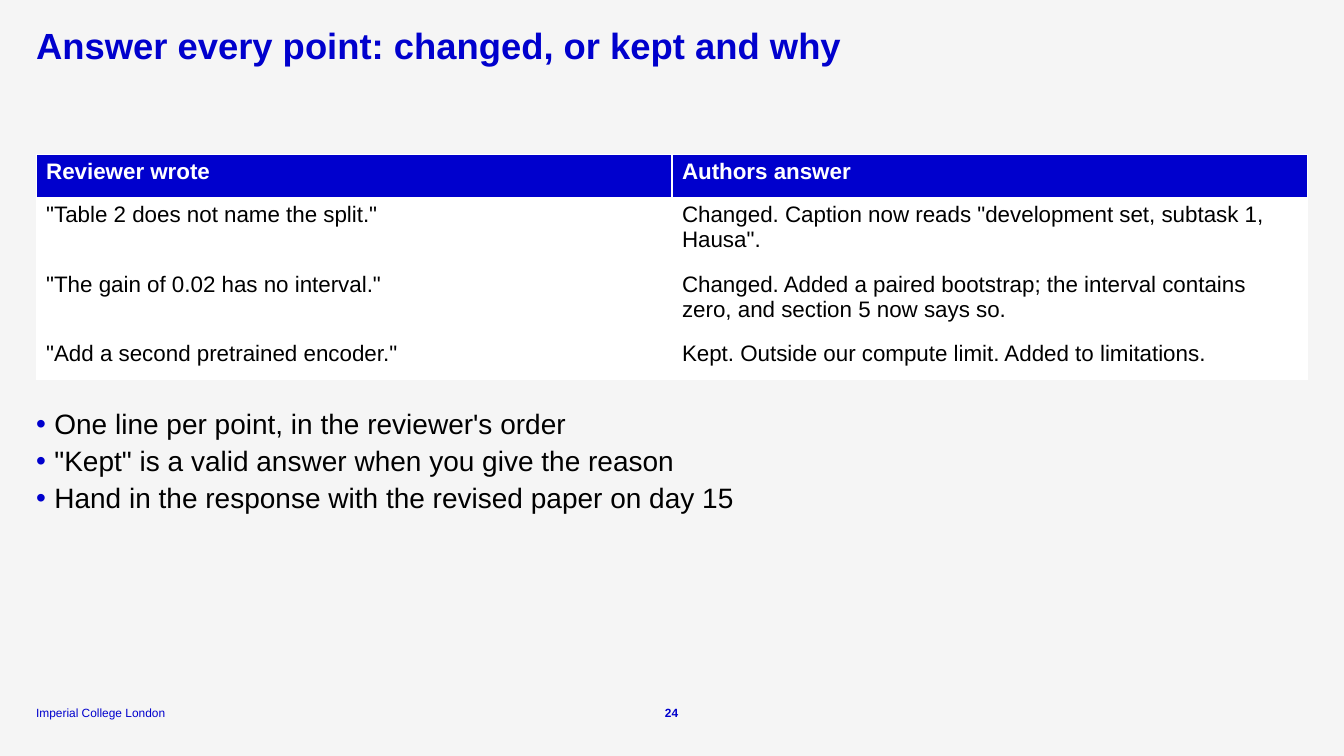
from lxml import etree
from pptx import Presentation
from pptx.dml.color import RGBColor
from pptx.enum.text import MSO_ANCHOR, MSO_AUTO_SIZE, PP_ALIGN
from pptx.oxml.ns import qn
from pptx.util import Cm, Pt

TOP, BOTTOM = MSO_ANCHOR.TOP, MSO_ANCHOR.BOTTOM
LEFT, CENTER = PP_ALIGN.LEFT, PP_ALIGN.CENTER
NO_AUTOFIT = MSO_AUTO_SIZE.NONE
TITLE_AND_CONTENT = 1

COLORS = {"blue": "0000CD", "page": "F5F5F5", "white": "FFFFFF", "black": "000000"}
MARGIN, CONTENT_WIDTH = Cm(0.91), Cm(32.05)
FOOTER_TOP, FOOTER_HEIGHT = Cm(17.75), Cm(0.38)


def write(para, text, size=16, color="black", bold=False, align=LEFT, spacing=1.0, bullet=None):
    para.alignment = align
    para.line_spacing = spacing
    para.space_before = Pt(0)
    if bullet:
        properties = para._p.get_or_add_pPr()
        properties.set("marL", str(Cm(0.46)))
        properties.set("indent", str(-Cm(0.46)))
        bullet_color = etree.SubElement(properties, qn("a:buClr"))
        etree.SubElement(bullet_color, qn("a:srgbClr"), val=COLORS["blue"])
        etree.SubElement(properties, qn("a:buFont"), typeface="Arial")
        etree.SubElement(properties, qn("a:buChar"), char=bullet)
    span = para.add_run()
    span.text = text
    span.font.name = "Arial"
    span.font.size = Pt(size)
    span.font.bold = bold
    span.font.color.rgb = RGBColor.from_string(COLORS[color])


def place(box, left, top, width, height, anchor=TOP):
    """Position a text shape, clear its insets and return its text frame."""
    box.left, box.top, box.width, box.height = left, top, width, height
    frame = box.text_frame
    frame.margin_left = frame.margin_top = frame.margin_right = frame.margin_bottom = 0
    frame.auto_size = NO_AUTOFIT
    frame.word_wrap = True
    frame.vertical_anchor = anchor
    return frame


deck = Presentation()
deck.slide_width, deck.slide_height = Cm(33.87), Cm(19.05)
page = deck.slides.add_slide(deck.slide_layouts[TITLE_AND_CONTENT])
page.background.fill.solid()
page.background.fill.fore_color.rgb = RGBColor.from_string(COLORS["page"])

# Title
title = place(page.shapes.title, MARGIN, Cm(0.71), CONTENT_WIDTH, Cm(1.04))
write(title.paragraphs[0], "Answer every point: changed, or kept and why",
      size=26, color="blue", bold=True, spacing=0.9)

# Review table
answers = [
    ("Reviewer wrote", "Authors answer"),
    ('"Table 2 does not name the split."',
     'Changed. Caption now reads "development set, subtask 1, Hausa".'),
    ('"The gain of 0.02 has no interval."',
     "Changed. Added a paired bootstrap; the interval contains zero, and section 5 now says so."),
    ('"Add a second pretrained encoder."',
     "Kept. Outside our compute limit. Added to limitations."),
]
row_heights = [Cm(1.09), Cm(1.75), Cm(1.75), Cm(1.09)]
table = page.shapes.add_table(len(answers), 2, MARGIN, Cm(3.89),
                              CONTENT_WIDTH, sum(row_heights)).table
table.horz_banding = False
for row, (height, texts) in enumerate(zip(row_heights, answers)):
    table.rows[row].height = height
    header = row == 0
    for column, text in enumerate(texts):
        cell = table.cell(row, column)
        cell.fill.solid()
        cell.fill.fore_color.rgb = RGBColor.from_string(COLORS["blue" if header else "white"])
        write(cell.text_frame.paragraphs[0], text,
              color="white" if header else "black", bold=header)

# Advice list
advice = [
    "One line per point, in the reviewer's order",
    '"Kept" is a valid answer when you give the reason',
    "Hand in the response with the revised paper on day 15",
]
body = place(page.placeholders[1], MARGIN, Cm(10.21), CONTENT_WIDTH, Cm(3.78))
for index, text in enumerate(advice):
    para = body.add_paragraph() if index else body.paragraphs[0]
    para.level = 2
    para.space_after = Pt(1.2)
    write(para, text, size=20, spacing=1.05, bullet="•")

# Footer
for text, left, width, bold, align in [
    ("Imperial College London", MARGIN, Cm(3.94), False, LEFT),
    ("24", Cm(16.48), Cm(0.89), True, CENTER),
]:
    box = page.shapes.add_textbox(left, FOOTER_TOP, width, FOOTER_HEIGHT)
    footer = place(box, left, FOOTER_TOP, width, FOOTER_HEIGHT, anchor=BOTTOM)
    write(footer.paragraphs[0], text, size=8.5, color="blue", bold=bold, align=align)

deck.save("out.pptx")
